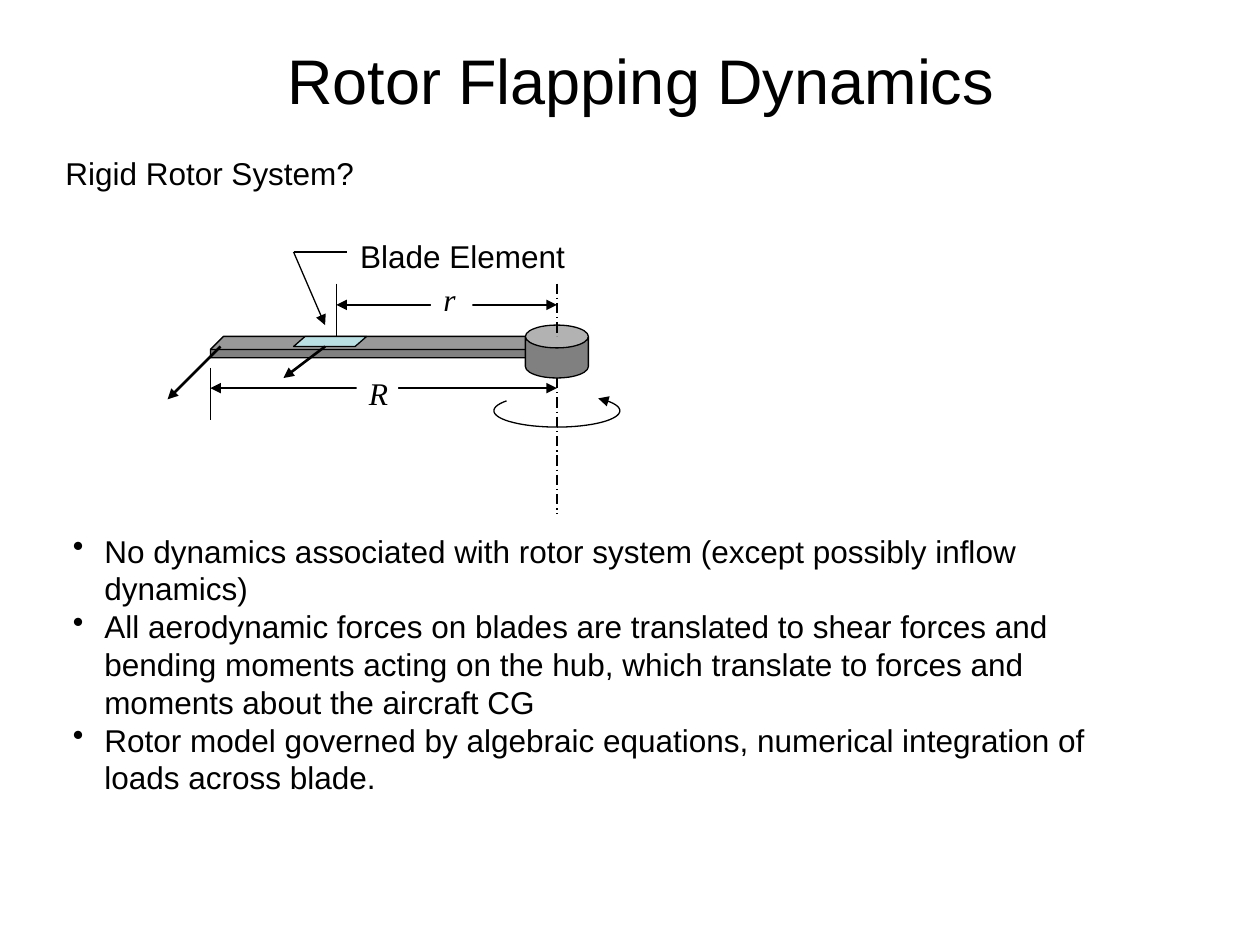
import math

from lxml import etree
from pptx import Presentation
from pptx.dml.color import RGBColor
from pptx.enum import dml, shapes, text
from pptx.oxml.ns import qn
from pptx.util import Inches, Pt

BLACK, WHITE, GREY, TEAL = "000000", "FFFFFF", "808080", "BBE0E3"
SANS = {"name": "Arial", "size": Pt(18)}
SYMBOL = {"name": "Times New Roman", "size": Pt(18), "italic": True}

TIP_X, ELEMENT_X, HUB_X = 1.67, 2.67, 4.42

BULLETS = [
    "No dynamics associated with rotor system (except possibly inflow dynamics)",
    "All aerodynamic forces on blades are translated to shear forces and bending "
    "moments acting on the hub, which translate to forces and moments about the "
    "aircraft CG",
    "Rotor model governed by algebraic equations, numerical integration of loads "
    "across blade.",
]


def rgb(value):
    return RGBColor.from_string(value)


def format_font(font, style):
    for key, value in style.items():
        setattr(font, key, value)
    font.color.rgb = rgb(BLACK)


def set_outline(shape, width=0.75, ends=()):
    """Black outline with a triangle at each of the ends ("head", "tail")."""
    shape.line.color.rgb = rgb(BLACK)
    shape.line.width = Pt(width)
    for end in ends:
        etree.SubElement(shape.line._get_or_add_ln(), qn(f"a:{end}End"), type="triangle")


def add_line(slide, start, finish, width=0.75, ends=(), dashed=False):
    line = slide.shapes.add_connector(
        shapes.MSO_CONNECTOR.STRAIGHT, *map(Inches, start + finish))
    if dashed:
        line.line.dash_style = dml.MSO_LINE.LONG_DASH_DOT
    set_outline(line, width, ends)
    etree.SubElement(line._element.spPr, qn("a:effectLst"))


def add_solid(slide, kind, box, fill, adjustment):
    solid = slide.shapes.add_shape(kind, *map(Inches, box))
    solid.shadow.inherit = False
    solid.adjustments[0] = adjustment
    solid.fill.solid()
    solid.fill.fore_color.rgb = rgb(fill)
    set_outline(solid)


def add_text(slide, box, paragraphs, style=SANS, wrap=True, fill=None, bulleted=False):
    label = slide.shapes.add_textbox(*map(Inches, box))
    if fill:
        label.fill.solid()
        label.fill.fore_color.rgb = rgb(fill)
    frame = label.text_frame
    frame.word_wrap = wrap
    frame.auto_size = text.MSO_AUTO_SIZE.SHAPE_TO_FIT_TEXT
    frame.text = "\n".join(paragraphs)
    for paragraph in frame.paragraphs:
        if bulleted:
            properties = paragraph._p.get_or_add_pPr()
            properties.set("marL", str(Inches(0.25)))
            properties.set("indent", str(-Inches(0.25)))
            etree.SubElement(properties, qn("a:buChar"), char="•")
        for run in paragraph.runs:
            format_font(run.font, style)


def add_rotation_arrow(slide):
    """Open elliptical sweep around the hub axis, passing in front of it."""
    first, last, steps = 217, -49, 48
    angles = [math.radians(first + (last - first) * i / steps) for i in range(steps + 1)]
    points = [(Inches(HUB_X + 0.5 * math.cos(a)), Inches(3.26 + 0.13 * math.sin(a)))
              for a in angles]
    builder = slide.shapes.build_freeform(*points[0])
    builder.add_line_segments(points[1:], close=False)
    sweep = builder.convert_to_shape()
    sweep.shadow.inherit = False
    sweep.fill.background()
    set_outline(sweep, ends=["tail"])


def add_dimension(slide, start_x, y, symbol, symbol_box):
    add_line(slide, (start_x, y), (HUB_X, y), ends=["head", "tail"])
    add_text(slide, symbol_box, [symbol], SYMBOL, fill=WHITE)


def add_title(slide, words):
    title = slide.shapes.title
    title.left, title.top, title.width, title.height = map(Inches, (0.75, 0.17, 8.67, 0.92))
    frame = title.text_frame
    frame.text = words
    frame.vertical_anchor = text.MSO_ANCHOR.MIDDLE
    frame.paragraphs[0].alignment = text.PP_ALIGN.CENTER
    format_font(frame.paragraphs[0].runs[0].font, {"name": "Arial", "size": Pt(36)})


def add_rotor_diagram(slide):
    kinds = shapes.MSO_SHAPE
    add_solid(slide, kinds.CUBE, (TIP_X, 2.67, 2.75, 0.17), GREY, 0.611)
    add_solid(slide, kinds.CAN, (4.17, 2.58, 0.5, 0.42), GREY, 0.432)
    add_solid(slide, kinds.PARALLELOGRAM, (2.33, 2.67, 0.58, 0.08), TEAL, 1.146)

    add_line(slide, (TIP_X, 2.92), (TIP_X, 3.33))
    add_line(slide, (HUB_X, 3), (HUB_X, 4.08), dashed=True)
    add_dimension(slide, TIP_X, 3.08, "R", (2.83, 2.92, 0.33, 0.4))

    add_line(slide, (ELEMENT_X, 2.25), (ELEMENT_X, 2.67))
    add_line(slide, (HUB_X, 2.25), (HUB_X, 2.67), dashed=True)
    add_dimension(slide, ELEMENT_X, 2.42, "r", (3.42, 2.17, 0.33, 0.4))

    add_line(slide, (1.75, 2.75), (1.33, 3.17), 1.5, ["tail"])
    add_rotation_arrow(slide)
    add_line(slide, (2.58, 2.75), (2.25, 3), 1.5, ["tail"])

    add_text(slide, (2.76, 1.83, 1.83, 0.4), ["Blade Element"], wrap=False)
    add_line(slide, (2.58, 2.58), (2.33, 2), ends=["head"])
    add_line(slide, (2.33, 2), (2.75, 2))


def main():
    deck = Presentation()
    deck.slide_width, deck.slide_height = Inches(10), Inches(7.5)
    slide = deck.slides.add_slide(deck.slide_layouts.get_by_name("Title Only"))
    add_title(slide, "Rotor Flapping Dynamics")
    add_text(slide, (0.42, 1.17, 2.49, 0.4), ["Rigid Rotor System?"], wrap=False)
    add_rotor_diagram(slide)
    add_text(slide, (0.48, 4.17, 8.44, 2.2), BULLETS, bulleted=True)
    deck.save("out.pptx")


if __name__ == "__main__":
    main()
